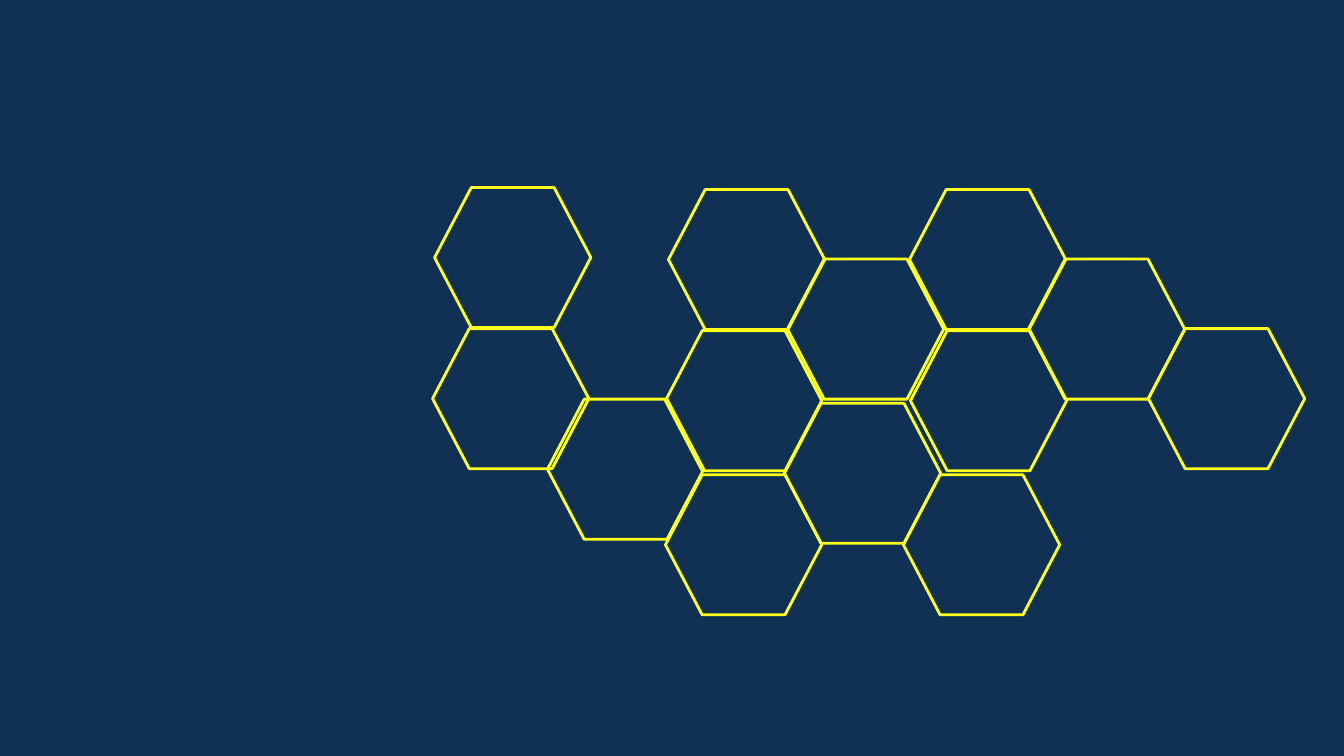
from pptx import Presentation
from pptx.dml.color import RGBColor
from pptx.enum.shapes import MSO_SHAPE
from pptx.util import Inches, Pt

HEXAGON = MSO_SHAPE.HEXAGON
COLORS = {"navy": "103154", "yellow": "FFFF1C"}
CELL_SIZE = (1.55, 1.39)
CORNER = 0.262

# Left and top of each cell, in drawing order
CELLS = [
    (6.63, 1.88), (7.81, 2.57), (9.02, 1.88), (10.2, 2.57), (11.39, 3.26),
    (9.03, 3.28), (6.6, 3.28), (7.78, 4), (8.96, 4.71), (6.6, 4.71),
    (5.43, 3.96), (4.29, 3.26), (4.31, 1.86),
]


class Comb:
    """Holds the honeycomb style and the current slide."""

    def __init__(self, slide, line="yellow", weight=2):
        self.slide = slide
        self.line = line
        self.weight = weight

    def color(self, name):
        return RGBColor.from_string(COLORS[name])

    def back(self, name):
        fill = self.slide.background.fill
        fill.solid()
        fill.fore_color.rgb = self.color(name)

    def cell(self, left, top):
        box = map(Inches, (left, top, *CELL_SIZE))
        shape = self.slide.shapes.add_shape(HEXAGON, *box)
        shape.adjustments[0] = CORNER
        shape.shadow.inherit = False
        shape.fill.background()
        shape.line.color.rgb = self.color(self.line)
        shape.line.width = Pt(self.weight)


def main():
    deck = Presentation()
    deck.slide_width = Inches(13.33)
    deck.slide_height = Inches(7.5)
    comb = Comb(deck.slides.add_slide(deck.slide_layouts[6]))
    comb.back("navy")
    for left, top in CELLS:
        comb.cell(left, top)
    deck.save("out.pptx")


if __name__ == "__main__":
    main()
